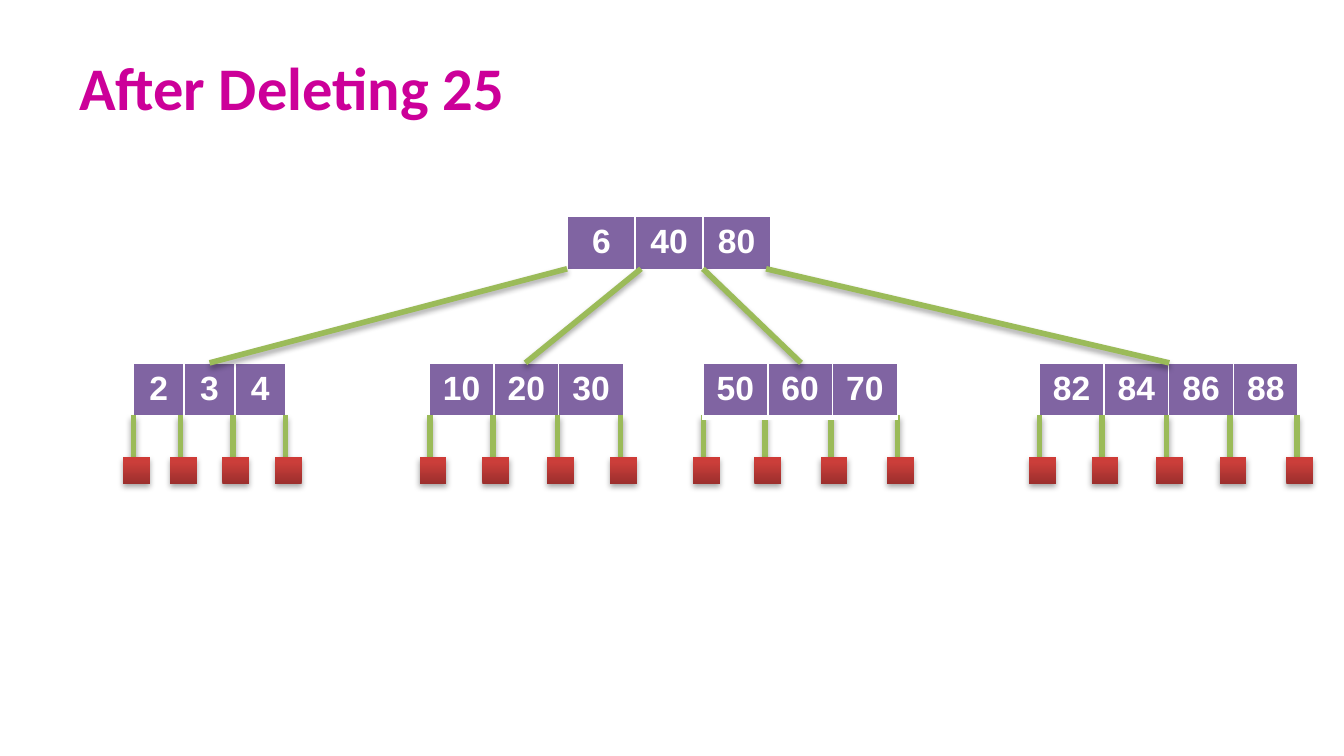
from dataclasses import dataclass

from lxml.etree import SubElement
from pptx import Presentation
from pptx.dml.color import RGBColor
from pptx.enum.shapes import MSO_CONNECTOR, MSO_SHAPE
from pptx.enum.text import MSO_ANCHOR, PP_ALIGN
from pptx.oxml.ns import qn
from pptx.util import Pt

WHITE = RGBColor(0xFF, 0xFF, 0xFF)
BLACK = RGBColor(0x00, 0x00, 0x00)
MAGENTA = RGBColor(0xCC, 0x00, 0x99)
PURPLE = RGBColor(0x80, 0x64, 0xA2)
GREEN = RGBColor(0x9B, 0xBB, 0x59)
LEAF_STOPS = (
    (0, RGBColor(0x9C, 0x2F, 0x2D)),
    (80, RGBColor(0xCB, 0x3E, 0x3A)),
    (100, RGBColor(0xCE, 0x3B, 0x37)),
)
CELL_BORDERS = {"a:lnL": 1, "a:lnR": 1, "a:lnT": 1, "a:lnB": 3}

ROW_HEIGHT = 29.5
ROOT_TOP, CHILD_TOP = 115.9, 194.4
BRANCH_TOP = 144
STEM_TOP = 222.5
LEAF_TOP, LEAF_SIZE, LEAF_OFFSET = 244.8, 14.4, 5.6


@dataclass
class Node:
    keys: tuple[int, ...]
    left: float
    top: float
    key_width: float
    stems: tuple[float, ...] = ()
    covers_stems: bool = False


@dataclass
class Branch:
    start: float
    end: float


ROOT = Node((6, 40, 80), 304.1, ROOT_TOP, 36.2)
CHILDREN = (
    Node((2, 3, 4), 71.5, CHILD_TOP, 27.2, (71.5, 96.7, 124.7, 152.9)),
    Node((10, 20, 30), 229.9, CHILD_TOP, 34.7, (230.4, 264.1, 298.7, 332.5)),
    Node((82, 84, 86, 88), 556.7, CHILD_TOP, 34.7,
         (556.9, 590.4, 625, 659, 694.7)),
    Node((50, 60, 70), 376.6, CHILD_TOP, 34.7, (376.9, 409.7, 445.2, 480.8), True),
)
BRANCHES = (
    Branch(303.8, 112.3),
    Branch(343.4, 281.5),
    Branch(376.6, 429.1),
    Branch(410.4, 626.4),
)


def add_color(parent, color: RGBColor, opacity: int = 100) -> None:
    element = SubElement(parent, qn("a:srgbClr"), val=str(color))
    if opacity < 100:
        SubElement(element, qn("a:alpha"), val=str(opacity * 1000))


def add_shadow(shape) -> None:
    effects = SubElement(shape._element.spPr, qn("a:effectLst"))
    shadow = SubElement(effects, qn("a:outerShdw"), blurRad=str(Pt(3.1)),
                        dist=str(Pt(1.8)), dir="5400000", rotWithShape="0")
    add_color(shadow, BLACK, 35)


def add_line(shapes, start: tuple[float, float], end: tuple[float, float]) -> None:
    line = shapes.add_connector(MSO_CONNECTOR.STRAIGHT,
                                *(Pt(value) for value in start + end))
    line.line.color.rgb = GREEN
    line.line.width = Pt(3)
    add_shadow(line)


def add_leaf(slide, center: float) -> None:
    shapes = slide.shapes.add_group_shape().shapes
    add_line(shapes, (center, STEM_TOP), (center, LEAF_TOP))
    box = shapes.add_shape(MSO_SHAPE.RECTANGLE, Pt(center - LEAF_OFFSET),
                           Pt(LEAF_TOP), Pt(LEAF_SIZE), Pt(LEAF_SIZE))
    # Three-stop gradient, dark at the bottom
    gradient = SubElement(box._element.spPr, qn("a:gradFill"), rotWithShape="1")
    stops = SubElement(gradient, qn("a:gsLst"))
    for position, color in LEAF_STOPS:
        add_color(SubElement(stops, qn("a:gs"), pos=str(position * 1000)), color)
    SubElement(gradient, qn("a:lin"), ang="16200000", scaled="0")
    box.line.fill.background()
    add_shadow(box)


def format_cell(cell, key: int) -> None:
    cell.text_frame.text = str(key)
    para = cell.text_frame.paragraphs[0]
    para.alignment = PP_ALIGN.CENTER
    font = para.runs[0].font
    font.name, font.size, font.bold = "Arial", Pt(18), True
    font.color.rgb = WHITE
    # Borders come before the fill in the cell properties
    properties = cell._tc.get_or_add_tcPr()
    for tag, width in CELL_BORDERS.items():
        border = SubElement(properties, qn(tag), w=str(Pt(width)))
        add_color(SubElement(border, qn("a:solidFill")), WHITE)
    cell.fill.solid()
    cell.fill.fore_color.rgb = PURPLE


def add_keys(slide, node: Node) -> None:
    count = len(node.keys)
    table = slide.shapes.add_table(1, count, Pt(node.left), Pt(node.top),
                                   Pt(node.key_width * count), Pt(ROW_HEIGHT)).table
    for column, key in enumerate(node.keys):
        table.columns[column].width = Pt(node.key_width)
        format_cell(table.cell(0, column), key)


def add_node(slide, node: Node) -> None:
    if not node.covers_stems:
        add_keys(slide, node)
    for stem in node.stems:
        add_leaf(slide, stem)
    if node.covers_stems:
        add_keys(slide, node)


def add_title(slide, text: str) -> None:
    box = slide.shapes.add_textbox(Pt(35.3), Pt(22.3), Pt(649.4), Pt(48.2))
    frame = box.text_frame
    frame.word_wrap = True
    frame.vertical_anchor = MSO_ANCHOR.MIDDLE
    frame.text = text
    font = frame.paragraphs[0].runs[0].font
    font.name, font.size, font.bold = "Calibri", Pt(32.4), True
    font.color.rgb = MAGENTA


def main() -> None:
    deck = Presentation()
    deck.slide_width, deck.slide_height = Pt(720), Pt(405)
    slide = deck.slides.add_slide(deck.slide_layouts[6])

    add_title(slide, "After Deleting 25")

    # Tree nodes with their leaves
    for node in (ROOT, *CHILDREN):
        add_node(slide, node)

    # Branches from the root to its children
    for branch in BRANCHES:
        add_line(slide.shapes, (branch.start, BRANCH_TOP), (branch.end, CHILD_TOP))

    deck.save("out.pptx")


if __name__ == "__main__":
    main()
